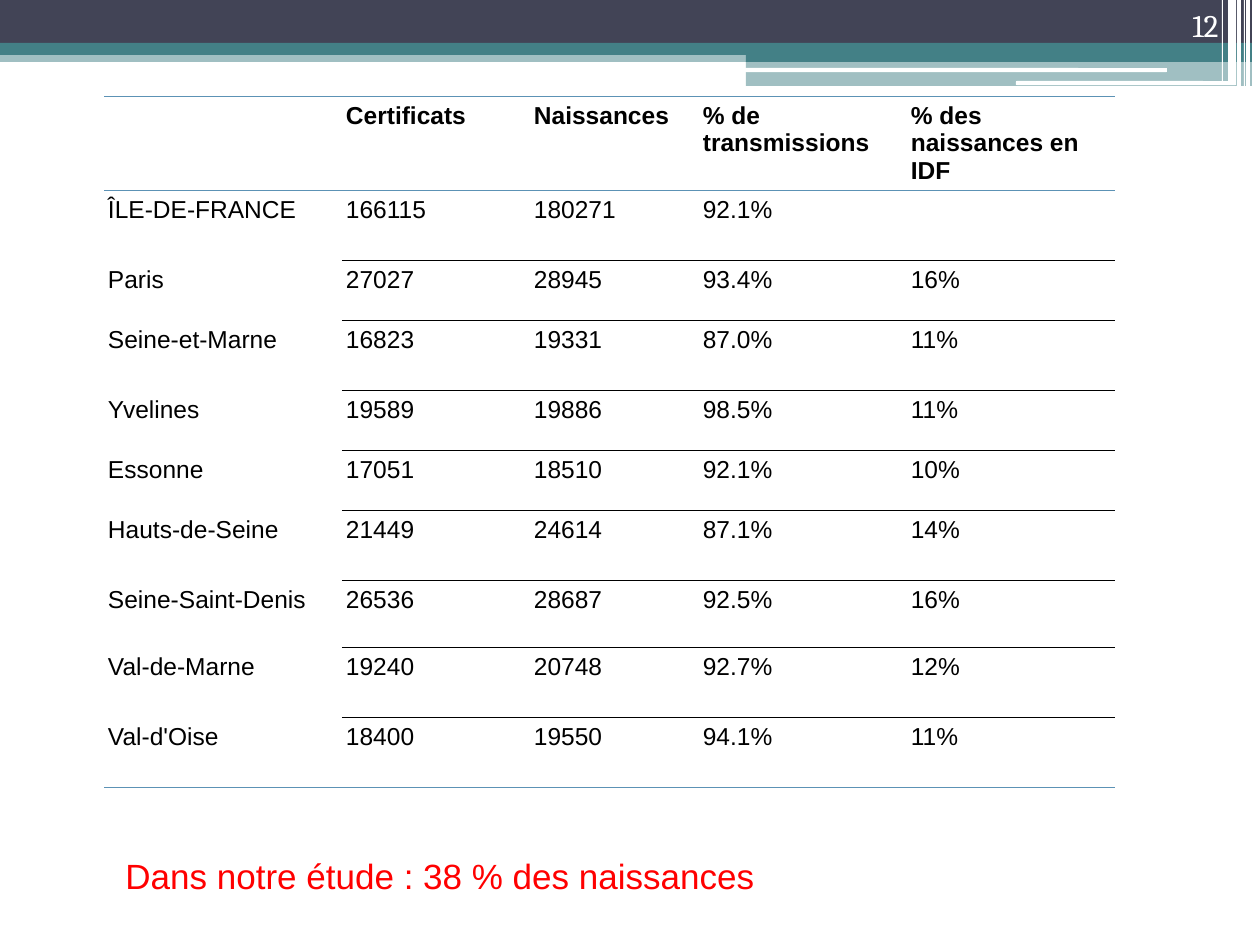
from dataclasses import dataclass
from lxml.etree import SubElement
from pptx import Presentation
from pptx.dml.color import RGBColor
from pptx.enum.shapes import MSO_SHAPE
from pptx.enum.text import MSO_ANCHOR, MSO_AUTO_SIZE, PP_ALIGN
from pptx.oxml.ns import qn
from pptx.util import Pt

SCALE = 914400 / 126


@dataclass(frozen=True)
class Theme:
    """Colours, fonts and type sizes of the slide."""
    navy: str = "424456"
    teal: str = "438086"
    white: str = "FFFFFF"
    black: str = "000000"
    blue: str = "5C92B5"
    red: str = "FF0000"
    sans: str = "Arial"
    serif: str = "Cambria"
    cell: int = 14
    page: int = 18
    note: int = 20
    rule: float = 0.45


THEME = Theme()

HEAD = ["", "Certificats", "Naissances", "% de transmissions",
        "% des naissances en IDF"]
ROWS = [
    ["ÎLE-DE-FRANCE", "166115", "180271", "92.1%", ""],
    ["Paris", "27027", "28945", "93.4%", "16%"],
    ["Seine-et-Marne", "16823", "19331", "87.0%", "11%"],
    ["Yvelines", "19589", "19886", "98.5%", "11%"],
    ["Essonne", "17051", "18510", "92.1%", "10%"],
    ["Hauts-de-Seine", "21449", "24614", "87.1%", "14%"],
    ["Seine-Saint-Denis", "26536", "28687", "92.5%", "16%"],
    ["Val-de-Marne", "19240", "20748", "92.7%", "12%"],
    ["Val-d'Oise", "18400", "19550", "94.1%", "11%"],
]
WIDTHS = [238, 188, 169, 208, 208]
HEIGHTS = [88, 70, 60, 70, 60, 60, 70, 67, 70, 70]


def px(n):
    """Turn pixels into EMU."""
    return round(n * SCALE)


def write(frame, text, size, color, font=THEME.sans, bold=False,
          align=PP_ALIGN.LEFT):
    """Put one formatted line of text into a text frame."""
    par = frame.paragraphs[0]
    par.alignment = align
    run = par.add_run()
    run.text = text
    run.font.size = Pt(size)
    run.font.name = font
    run.font.bold = bold
    run.font.color.rgb = RGBColor.from_string(color)


def bar(slide, box, color, alpha=100, kind=MSO_SHAPE.RECTANGLE):
    """Draw one plain bar without outline."""
    shape = slide.shapes.add_shape(kind, *map(px, box))
    shape.shadow.inherit = False
    shape.line.fill.background()
    shape.fill.solid()
    shape.fill.fore_color.rgb = RGBColor.from_string(color)
    if alpha < 100:
        tint = shape.fill._xPr.find(qn("a:solidFill"))[0]
        SubElement(tint, qn("a:alpha"), val=str(alpha * 1000))
    return shape


def banner(slide, left, top, width):
    """Draw the bands, slots and ticks along the top edge."""
    mid = left + 746
    rest = width - 746
    bar(slide, (left, top + 50, width, 12), THEME.teal, 50)
    bar(slide, (left, top, width, 43), THEME.navy)
    bar(slide, (left, top + 43, width, 12), THEME.teal)
    bar(slide, (mid, top + 49, rest, 13), THEME.teal)
    bar(slide, (mid, top + 61, rest, 25), THEME.teal, 50)
    for x, y, w in ((745, 68, 422), (1016, 81, 220)):
        slot = bar(slide, (left + x, top + y, w, 4), THEME.white,
                   kind=MSO_SHAPE.ROUNDED_RECTANGLE)
        slot.adjustments[0] = 0.17
    for x, w, h in ((1252, 8, 86), (1246, 4, 86), (1244, 1, 86),
                    (1237, 4, 86), (1228, 8, 81), (1222, 1, 81)):
        bar(slide, (left + x, top, w, h), THEME.white)


def edge(cell, side, color):
    """Set one cell border, or clear it when there is no colour."""
    line = SubElement(cell._tc.get_or_add_tcPr(), qn("a:ln" + side),
                      w=str(Pt(THEME.rule)))
    if color:
        fill = SubElement(line, qn("a:solidFill"))
        SubElement(fill, qn("a:srgbClr"), val=color)
    else:
        SubElement(line, qn("a:noFill"))


def rule(row, col):
    """Give the colour of the line above a row in one column."""
    if row in (0, 1, len(HEIGHTS)):
        return THEME.blue
    return THEME.black if col else None


def grid(slide, left, top):
    """Build the table of certificates and births."""
    data = [HEAD] + ROWS
    frame = slide.shapes.add_table(
        len(data), len(HEAD), px(left), px(top),
        px(sum(WIDTHS)), px(sum(HEIGHTS)))
    table = frame.table
    table.first_row = table.horz_banding = False
    for col, width in zip(table.columns, WIDTHS):
        col.width = px(width)
    for r, (line, height) in enumerate(zip(data, HEIGHTS)):
        table.rows[r].height = px(height)
        for c, text in enumerate(line):
            cell = table.cell(r, c)
            cell.margin_left = cell.margin_right = px(4)
            cell.margin_top = cell.margin_bottom = px(6)
            for side, color in (("L", None), ("R", None),
                                ("T", rule(r, c)), ("B", rule(r + 1, c))):
                edge(cell, side, color)
            cell.fill.background()
            if text:
                write(cell.text_frame, text, THEME.cell, THEME.black,
                      bold=r == 0)


def label(slide, box, text, anchor=MSO_ANCHOR.TOP, fit=MSO_AUTO_SIZE.NONE,
          **style):
    """Place a wrapped text box."""
    frame = slide.shapes.add_textbox(*map(px, box)).text_frame
    frame.word_wrap = True
    frame.auto_size = fit
    frame.vertical_anchor = anchor
    write(frame, text, **style)


def main():
    """Build and save the slide."""
    deck = Presentation()
    deck.slide_width, deck.slide_height = px(1260), px(945)
    slide = deck.slides.add_slide(deck.slide_layouts[6])
    banner(slide, 0, 0, 1260)
    label(slide, (1126, 0, 105, 50), "12", MSO_ANCHOR.BOTTOM,
          size=THEME.page, color=THEME.white, font=THEME.serif,
          align=PP_ALIGN.RIGHT)
    grid(slide, 104, 96)
    label(slide, (113, 848, 1062, 55),
          "Dans notre étude : 38 % des naissances",
          fit=MSO_AUTO_SIZE.SHAPE_TO_FIT_TEXT,
          size=THEME.note, color=THEME.red)
    deck.save("out.pptx")


if __name__ == "__main__":
    main()
